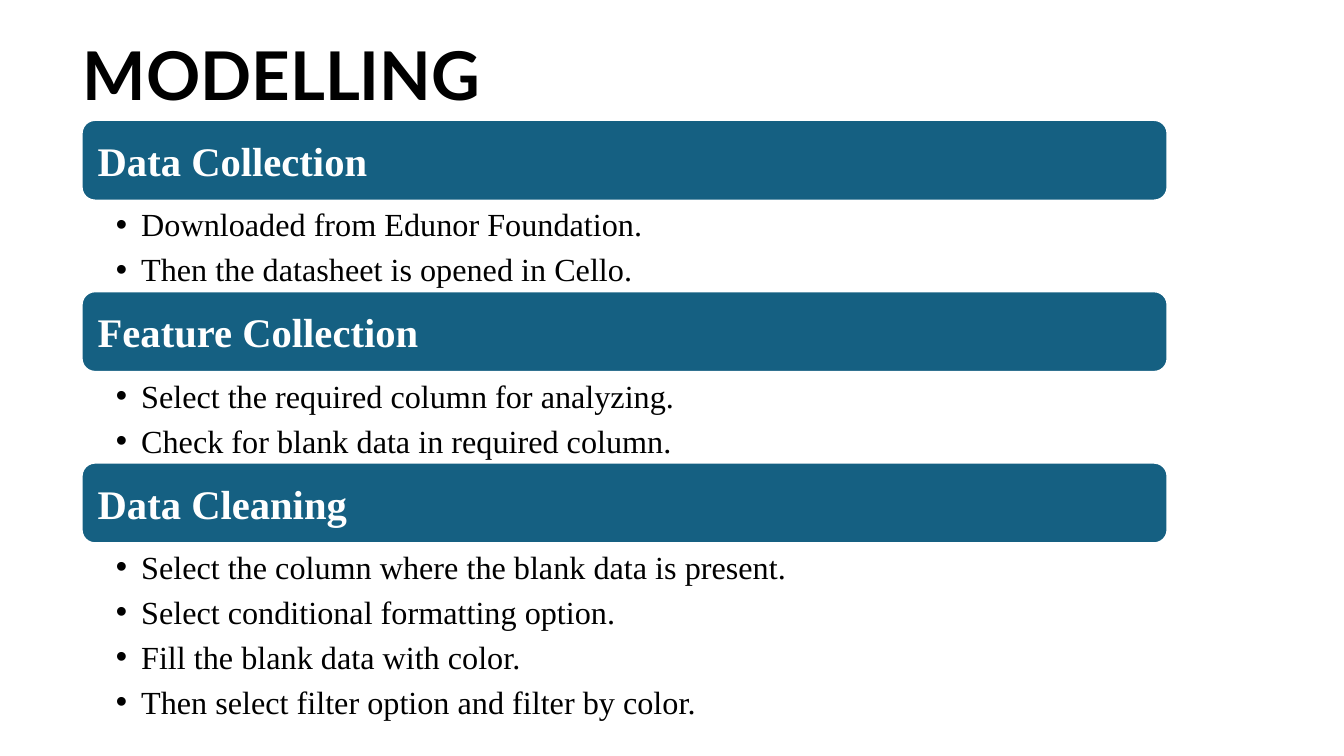
from lxml.etree import SubElement
from pptx import Presentation
from pptx.dml.color import RGBColor
from pptx.enum.shapes import MSO_SHAPE as Shape
from pptx.enum.text import MSO_ANCHOR as Anchor, MSO_AUTO_SIZE as AutoSize, PP_ALIGN as Align
from pptx.oxml.ns import qn
from pptx.util import Inches, Pt

COLORS = {"bar": "156082", "light": "FFFFFF", "text": "000000"}
SERIF = "Times New Roman"
LEFT, TOP, WIDTH = 0.81, 1.19, 10.77
BAR_HEIGHT = 0.8
COMPARISON_LAYOUT = 4

STEPS = [
    ("Data Collection", 0.9, [
        "Downloaded from Edunor Foundation.",
        "Then the datasheet is opened in Cello.",
    ]),
    ("Feature Collection", 0.9, [
        "Select the required column for analyzing.",
        "Check for blank data in required column.",
    ]),
    ("Data Cleaning", 1.77, [
        "Select the column where the blank data is present.",
        "Select conditional formatting option.",
        "Fill the blank data with color.",
        "Then select filter option and filter by color.",
    ]),
]


def color(name):
    return RGBColor.from_string(COLORS[name])


def place(shape, left, top, width, height):
    shape.left, shape.top = Inches(left), Inches(top)
    shape.width, shape.height = Inches(width), Inches(height)


def set_frame(frame, anchor, left, top, right, bottom):
    frame.word_wrap = True
    frame.auto_size = AutoSize.NONE
    frame.vertical_anchor = anchor
    frame.margin_left, frame.margin_top = Inches(left), Inches(top)
    frame.margin_right, frame.margin_bottom = Inches(right), Inches(bottom)


def style(para, font_name, size, color_name, bold, before=0, after=0):
    para.alignment = Align.LEFT
    para.line_spacing = 1.0
    para.space_before, para.space_after = Pt(before), Pt(after)
    para.font.name, para.font.size, para.font.bold = font_name, Pt(size), bold
    para.font.color.rgb = color(color_name)


def add_bullet(para):
    properties = para._p.get_or_add_pPr()
    properties.set("marL", str(Inches(0.25)))
    properties.set("indent", str(Inches(-0.25)))
    font = SubElement(properties, qn("a:buFont"))
    font.set("typeface", "Arial")
    bullet = SubElement(properties, qn("a:buChar"))
    bullet.set("char", "•")


def fill_title(title, left, top, width, height):
    place(title, left, top, width, height)
    frame = title.text_frame
    set_frame(frame, Anchor.TOP, 0.01, 0.01, 0, 0)
    frame.text = "MODELLING"
    style(frame.paragraphs[0], "Lato", 48, "text", True, before=1.1)


def add_bar(page, heading, left, top, width, height):
    bar = page.shapes.add_shape(
        Shape.ROUNDED_RECTANGLE, Inches(left), Inches(top), Inches(width), Inches(height))
    bar.shadow.inherit = False
    bar.fill.solid()
    bar.fill.fore_color.rgb = color("bar")
    bar.line.color.rgb = color("light")
    bar.line.width = Pt(1.5)
    set_frame(bar.text_frame, Anchor.MIDDLE, 0.12, 0.12, 0.12, 0.12)
    bar.text_frame.text = heading
    style(bar.text_frame.paragraphs[0], SERIF, 29, "light", True)


def fill_list(body, items, left, top, width, height):
    place(body, left, top, width, height)
    frame = body.text_frame
    set_frame(frame, Anchor.TOP, 0.34, 0.04, 0.23, 0.04)
    frame.text = "\n".join(items)
    for para in frame.paragraphs:
        style(para, SERIF, 23, "text", False, after=4.5)
        add_bullet(para)


def add_steps(page, bodies, left, top, width):
    for body, (heading, list_height, items) in zip(bodies, STEPS):
        add_bar(page, heading, left, top, width, BAR_HEIGHT)
        fill_list(body, items, left, top + BAR_HEIGHT, width, list_height)
        top += BAR_HEIGHT + list_height


def main():
    deck = Presentation()
    deck.slide_width, deck.slide_height = Inches(13.33), Inches(7.5)
    page = deck.slides.add_slide(deck.slide_layouts[COMPARISON_LAYOUT])
    title, *bodies = list(page.placeholders)
    fill_title(title, LEFT, 0.32, 4.5, 0.83)
    add_steps(page, bodies, LEFT, TOP, WIDTH)
    for spare in bodies[len(STEPS):]:
        spare.element.getparent().remove(spare.element)
    deck.save("out.pptx")


if __name__ == "__main__":
    main()
